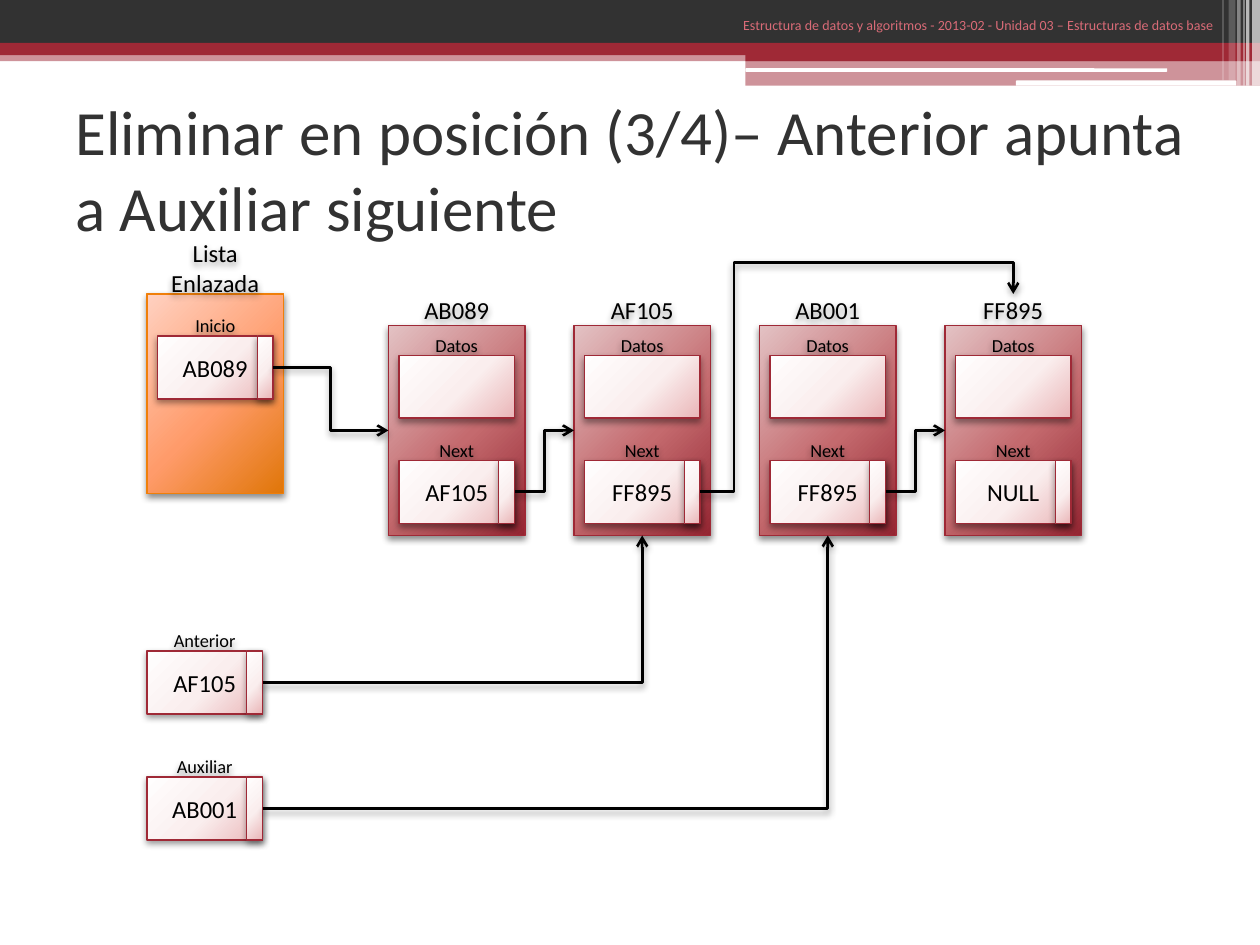
from lxml import etree
from pptx import Presentation
from pptx import util as u
from pptx.dml import color
from pptx.enum import shapes, text
from pptx.oxml import ns

Pt = u.Pt
DARK, RED, WHITE, BLACK, ORANGE = "323232", "9F2936", "FFFFFF", "000000", "F07F09"
CELL_GRADIENT = ("FFFEFE", "FAEEEE", "EAB6B8")
NODE_GRADIENT = ("E3C2C4", "C46A6E", "942632")
LIST_GRADIENT = ("FFD1C1", "FF9B6A", "E07608")
CELL_W, CELL_H, LABEL_H = 66, 36, 12
NODE_W, NODE_H, NODE_LEFT, NODE_TOP, NODE_PITCH = 78, 120, 222, 186, 106


def rgb(code):
    """Turn a hex string into a colour."""
    return color.RGBColor.from_string(code)


def add_child(parent, tag, **attributes):
    """Append a DrawingML element to a parent."""
    child = etree.SubElement(parent, ns.qn(tag))
    for name, value in attributes.items():
        child.set(name, str(value))
    return child


def add_shadow(shape, opacity=40):
    """Give a shape a soft shadow straight below it."""
    effects = add_child(shape._element.spPr, "a:effectLst")
    shadow = add_child(effects, "a:outerShdw", blurRad=Pt(4), dist=Pt(2),
                       dir=5400000, algn="ctr", rotWithShape=0)
    tint = add_child(shadow, "a:srgbClr", val=BLACK)
    add_child(tint, "a:alpha", val=opacity * 1000)


def set_gradient(shape, stops):
    """Fill a shape with a three-stop radial gradient."""
    shape.fill.background()
    properties = shape._element.spPr
    gradient = etree.Element(ns.qn("a:gradFill"), rotWithShape="1")
    stop_list = add_child(gradient, "a:gsLst")
    for position, code in zip((0, 55000, 100000), stops):
        add_child(add_child(stop_list, "a:gs", pos=position), "a:srgbClr", val=code)
    circle = add_child(gradient, "a:path", path="circle")
    add_child(circle, "a:fillToRect", l=-40000, t=-90000, r=140000, b=190000)
    properties.replace(properties.find(ns.qn("a:noFill")), gradient)


def write(shape, words, size, code=BLACK, align=text.PP_ALIGN.CENTER,
          anchor=text.MSO_ANCHOR.MIDDLE):
    """Write one paragraph of text into a shape."""
    frame = shape.text_frame
    frame.word_wrap = True
    frame.vertical_anchor = anchor
    frame.paragraphs[0].alignment = align
    run = frame.paragraphs[0].add_run()
    run.text = words
    run.font.size = Pt(size)
    run.font.name = "Calibri"
    run.font.color.rgb = rgb(code)


def add_box(slide, left, top, width, height, kind=shapes.MSO_SHAPE.RECTANGLE):
    """Add a preset shape without line."""
    box = slide.shapes.add_shape(kind, Pt(left), Pt(top), Pt(width), Pt(height))
    box.line.fill.background()
    return box


def add_bar(slide, left, top, width, height, code, opacity=100,
            kind=shapes.MSO_SHAPE.RECTANGLE):
    """Add a plain bar that may be see-through."""
    bar = add_box(slide, left, top, width, height, kind)
    bar.shadow.inherit = False
    bar.fill.solid()
    bar.fill.fore_color.rgb = rgb(code)
    if opacity < 100:
        tint = bar._element.spPr.find(ns.qn("a:solidFill"))[0]
        add_child(tint, "a:alpha", val=opacity * 1000)


def add_panel(slide, left, top, width, height, stops, edge=RED, opacity=40):
    """Add a gradient panel with outline and shadow."""
    panel = add_box(slide, left, top, width, height)
    set_gradient(panel, stops)
    panel.line.color.rgb = rgb(edge)
    panel.line.width = Pt(0.75)
    add_shadow(panel, opacity)
    return panel


def add_text(slide, left, top, width, height, words, size, **style):
    """Add a text box."""
    label = slide.shapes.add_textbox(Pt(left), Pt(top), Pt(width), Pt(height))
    write(label, words, size, **style)
    return label


def add_label(slide, left, top, width, height, words, size):
    """Add a diagram label with a shadow."""
    add_shadow(add_text(slide, left, top, width, height, words, size))


def add_field(slide, left, top, name, value=None):
    """Add a named cell, with a pointer tab if it holds a value."""
    add_label(slide, left, top, CELL_W, LABEL_H, name, 10.5)
    cell_top, tab = top + LABEL_H, 9
    cell = add_panel(slide, left, cell_top, CELL_W, CELL_H, CELL_GRADIENT)
    if value:
        write(cell, value, 14)
        add_panel(slide, left + CELL_W - tab, cell_top, tab, CELL_H, CELL_GRADIENT)


def add_node(slide, left, top, address, following):
    """Add a list node with its address, data and next cells."""
    add_label(slide, left, top - 18, NODE_W, 18, address, 14)
    add_panel(slide, left, top, NODE_W, NODE_H, NODE_GRADIENT, opacity=45)
    add_field(slide, left + 6, top + 5, "Datos")
    add_field(slide, left + 6, top + 65, "Next", following)


def add_list_head(slide, left, top):
    """Add the linked list object with its start pointer."""
    add_panel(slide, left, top, NODE_W, 114, LIST_GRADIENT, ORANGE, 45)
    add_field(slide, left + 6, top + 12, "Inicio", "AB089")
    add_label(slide, left, top - 30, NODE_W, 30, "Lista Enlazada", 14)


def add_arrow(slide, start, end, bends=3, adjust=()):
    """Add an elbow arrow between two points."""
    arrow = slide.shapes.add_connector(
        shapes.MSO_CONNECTOR.ELBOW, *(Pt(value) for value in start + end))
    arrow.line.color.rgb = rgb(BLACK)
    arrow.line.width = Pt(1.5)
    properties = arrow._element.spPr
    geometry = properties.find(ns.qn("a:prstGeom"))
    geometry.set("prst", f"bentConnector{bends}")
    guides = geometry.find(ns.qn("a:avLst"))
    for number, value in enumerate(adjust, 1):
        add_child(guides, "a:gd", name=f"adj{number}", fmla=f"val {value}")
    add_child(properties.find(ns.qn("a:ln")), "a:tailEnd", type="arrow")
    add_shadow(arrow)


def add_header(slide, width):
    """Add the banner across the top and its caption."""
    split = 426
    right = width - split
    add_bar(slide, 0, 28.5, width, 6.5, RED, 50)
    add_bar(slide, 0, 0, width, 24.5, DARK)
    add_bar(slide, 0, 24.5, width, 7, RED)
    add_bar(slide, split, 28, right, 7, RED)
    add_bar(slide, split, 35, right, 14, RED, 50)
    for left, top, length, height in ((split, 39, 241, 2), (580.5, 46, 126, 3)):
        add_bar(slide, left, top, length, height, WHITE,
                kind=shapes.MSO_SHAPE.ROUNDED_RECTANGLE)
    for left, thickness, height, opacity in (
            (715.5, 4.5, 49, 65), (712, 2, 49, 65), (710.5, 0.75, 49, 60),
            (707, 2, 49, 40), (702, 4, 46, 20), (698.5, 0.75, 46, 30)):
        add_bar(slide, left, 0, thickness, height, WHITE, opacity)
    add_text(slide, 336, 6, 365, 18,
             "Estructura de datos y algoritmos - 2013-02 - Unidad 03 – "
             "Estructuras de datos base", 8, code="D96B77",
             align=text.PP_ALIGN.RIGHT, anchor=text.MSO_ANCHOR.TOP)


def add_diagram(slide, left):
    """Add the list, its nodes, the helper pointers and all arrows."""
    add_list_head(slide, left, 168)
    nodes = (("AB089", "AF105"), ("AF105", "FF895"), ("AB001", "FF895"), ("FF895", "NULL"))
    lefts = [NODE_LEFT + NODE_PITCH * index for index in range(len(nodes))]
    for node_left, (address, following) in zip(lefts, nodes):
        add_node(slide, node_left, NODE_TOP, address, following)
    entry, leave, bottom = NODE_TOP + NODE_H / 2, NODE_TOP + 95, NODE_TOP + NODE_H
    add_arrow(slide, (left + 72, 210), (lefts[0], entry))
    for source in (0, 2):
        add_arrow(slide, (lefts[source] + 72, leave), (lefts[source + 1], entry))
    add_arrow(slide, (lefts[1] + 72, leave), (lefts[3] + NODE_W / 2, NODE_TOP - 18),
              4, (10800, 116000))
    for top, name, value, target in ((360, "Anterior", "AF105", 1),
                                     (432, "Auxiliar", "AB001", 2)):
        add_field(slide, left, top, name, value)
        add_arrow(slide, (left + CELL_W, top + LABEL_H + CELL_H / 2),
                  (lefts[target] + NODE_W / 2, bottom), 2)


def main():
    """Build and save the slide."""
    deck = Presentation()
    deck.slide_width, deck.slide_height = Pt(720), Pt(540)
    slide = deck.slides.add_slide(deck.slide_layouts[6])
    add_header(slide, 720)
    add_text(slide, 36, 54, 648, 84,
             "Eliminar en posición (3/4)– Anterior apunta a Auxiliar siguiente",
             36, code=DARK, align=text.PP_ALIGN.JUSTIFY)
    add_diagram(slide, 84)
    deck.save("out.pptx")


if __name__ == "__main__":
    main()
